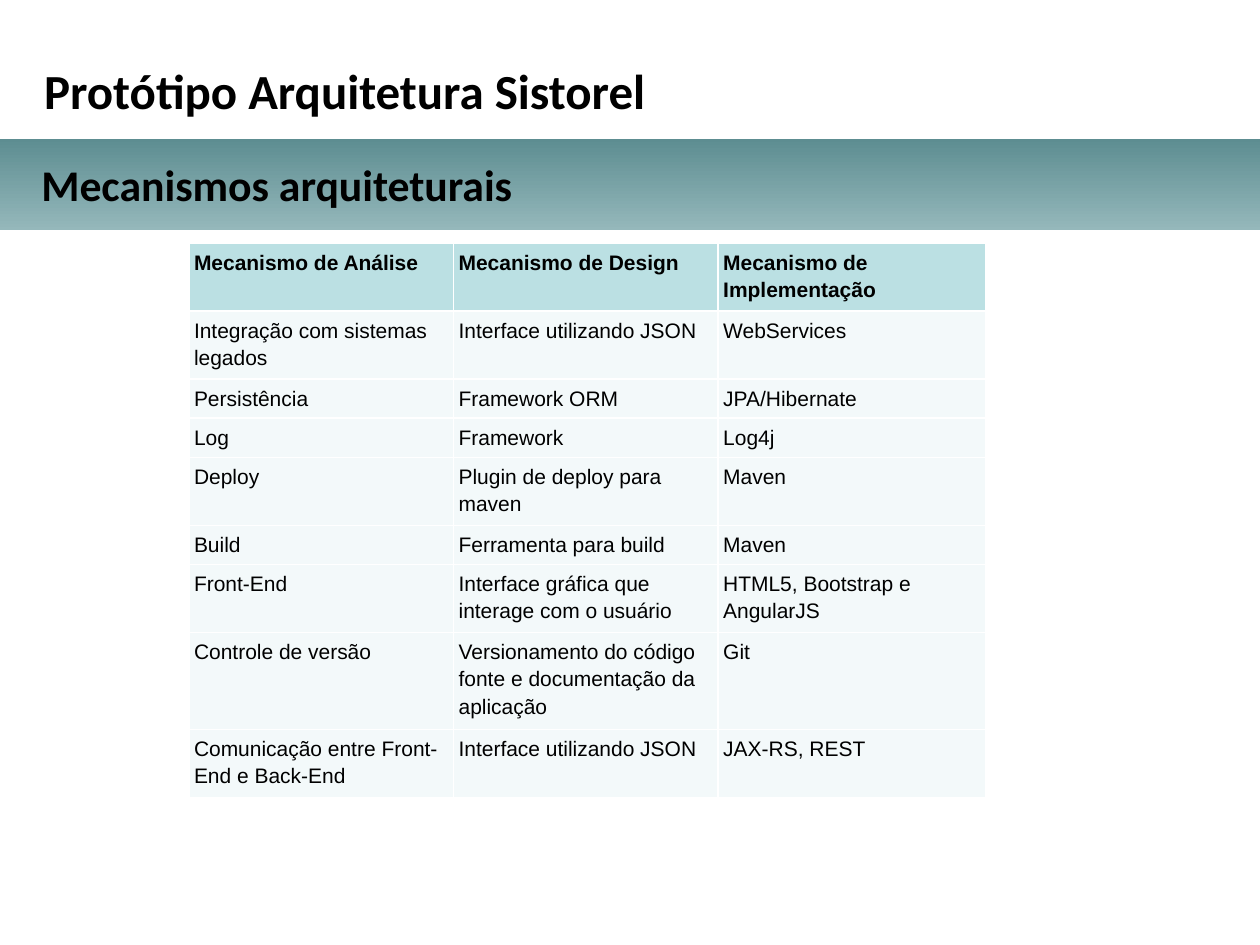
from lxml import etree
from pptx import Presentation
from pptx.dml.color import RGBColor
from pptx.enum.shapes import MSO_SHAPE
from pptx.enum.text import MSO_ANCHOR, MSO_AUTO_SIZE, PP_ALIGN
from pptx.oxml.ns import qn
from pptx.util import Inches, Pt

RECT = MSO_SHAPE.RECTANGLE
TOP = MSO_ANCHOR.TOP
GROW = MSO_AUTO_SIZE.SHAPE_TO_FIT_TEXT
LEFT = PP_ALIGN.LEFT

ROWS = [
    ("Mecanismo de Análise", "Mecanismo de Design", "Mecanismo de Implementação"),
    ("Integração com sistemas legados", "Interface utilizando JSON", "WebServices"),
    ("Persistência", "Framework ORM", "JPA/Hibernate"),
    ("Log", "Framework", "Log4j"),
    ("Deploy", "Plugin de deploy para maven", "Maven"),
    ("Build", "Ferramenta para build", "Maven"),
    ("Front-End", "Interface gráfica que interage com o usuário",
     "HTML5, Bootstrap e AngularJS"),
    ("Controle de versão",
     "Versionamento do código fonte e documentação da aplicação", "Git"),
    ("Comunicação entre Front-End e Back-End", "Interface utilizando JSON",
     "JAX-RS, REST"),
]
LINES = [2, 2, 1, 1, 2, 1, 2, 3, 2]
COLS = [2.1, 2.1, 2.12]
PAD, STEP = 0.09, 0.22


def color(code):
    return RGBColor.from_string(code)


def place(shape, box):
    shape.left, shape.top, shape.width, shape.height = map(Inches, box)


def style(para, face, size, bold):
    para.alignment = LEFT
    font = para.font
    font.name, font.size, font.bold = face, Pt(size), bold
    font.color.rgb = color("000000")


def write(shape, box, text, size):
    frame = shape.text_frame
    frame.text = text
    frame.word_wrap = True
    frame.auto_size = GROW
    frame.vertical_anchor = TOP
    style(frame.paragraphs[0], "Calibri", size, True)
    place(shape, box)


def add_title(slide, box):
    title = slide.shapes.title
    write(title, box, "Protótipo Arquitetura Sistorel", 28)
    title.text_frame.paragraphs[0].line_spacing = Pt(28)


def add_band(slide, box):
    left, top, width, height = box
    band = slide.shapes.add_shape(RECT, *map(Inches, box))
    band.shadow.inherit = False
    band.line.fill.background()
    band.fill.gradient()
    band.fill.gradient_angle = 90
    for stop, code in zip(band.fill.gradient_stops, ("95B8BB", "5D8D91")):
        stop.color.rgb = color(code)
    inner = (left + 0.23, top + 0.1, width - 0.45, height - 0.21)
    label = slide.shapes.add_textbox(*map(Inches, inner))
    write(label, inner, "Mecanismos arquiteturais", 25)


def add_edges(cell):
    props = cell._tc.get_or_add_tcPr()
    for spot, side in enumerate(("lnL", "lnR", "lnT", "lnB")):
        line = etree.Element(qn("a:" + side), w=str(Pt(1)))
        fill = etree.SubElement(line, qn("a:solidFill"))
        etree.SubElement(fill, qn("a:srgbClr"), val="FFFFFF")
        props.insert(spot, line)


def fill_cell(cell, text, head):
    cell.text = text
    cell.margin_left = cell.margin_right = Inches(0.04)
    cell.margin_top = cell.margin_bottom = Inches(0.04)
    cell.vertical_anchor = TOP
    cell.fill.solid()
    cell.fill.fore_color.rgb = color("BBE0E3" if head else "F3F9FA")
    add_edges(cell)
    para = cell.text_frame.paragraphs[0]
    style(para, "Arial", 12, head)
    para.line_spacing = 1.15
    para.space_after = Pt(10)


def add_grid(slide, left, top):
    highs = [PAD + STEP * count for count in LINES]
    box = (left, top, sum(COLS), sum(highs))
    table = slide.shapes.add_table(len(ROWS), len(COLS), *map(Inches, box)).table
    for col, width in zip(table.columns, COLS):
        col.width = Inches(width)
    for row, high, texts in zip(table.rows, highs, ROWS):
        row.height = Inches(high)
        for cell, text in zip(row.cells, texts):
            fill_cell(cell, text, texts is ROWS[0])


def main():
    deck = Presentation()
    deck.slide_width, deck.slide_height = Inches(10), Inches(7.5)
    slide = deck.slides.add_slide(deck.slide_layouts[5])
    add_band(slide, (0, 1.1, 10, 0.73))
    add_title(slide, (0.25, 0.51, 9.65, 0.5))
    add_grid(slide, 1.5, 1.93)
    deck.save("out.pptx")


if __name__ == "__main__":
    main()
